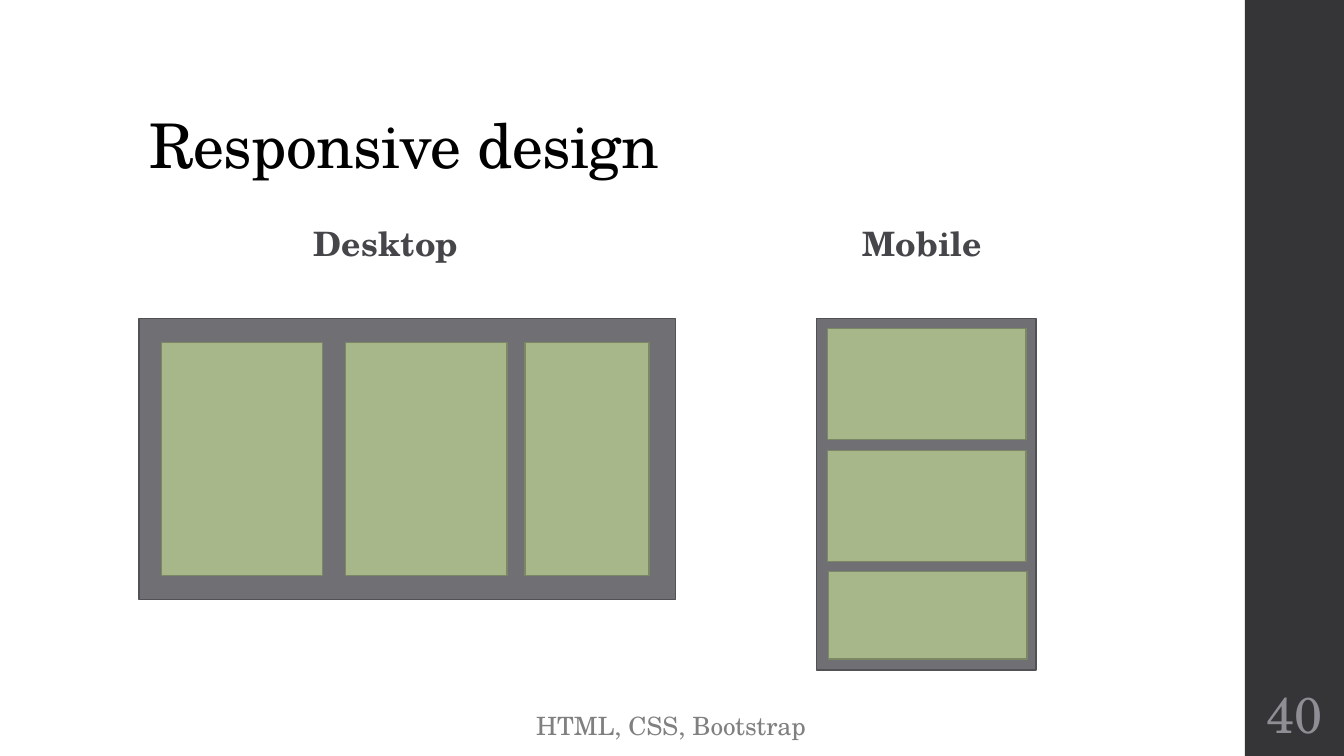
from pptx import Presentation
from pptx.dml.color import RGBColor
from pptx.enum.shapes import MSO_SHAPE
from pptx.enum.text import MSO_ANCHOR, PP_ALIGN
from pptx.util import Inches, Pt

RECT = MSO_SHAPE.RECTANGLE
LEFT, CENTER = PP_ALIGN.LEFT, PP_ALIGN.CENTER
TOP, MIDDLE, BOTTOM = MSO_ANCHOR.TOP, MSO_ANCHOR.MIDDLE, MSO_ANCHOR.BOTTOM

FONT = "TeX Gyre Schola"
BLACK = RGBColor(0x00, 0x00, 0x00)
DARK = RGBColor(0x35, 0x35, 0x37)
LABEL = RGBColor(0x46, 0x46, 0x4A)
FOOT = RGBColor(0x80, 0x80, 0x80)
NUMBER = RGBColor(0x8E, 0x8E, 0x94)
GRAY = RGBColor(0x6F, 0x6F, 0x74)
GRAY_EDGE = RGBColor(0x52, 0x52, 0x56)
GREEN = RGBColor(0xA7, 0xB7, 0x89)
GREEN_EDGE = RGBColor(0x7C, 0x87, 0x65)


def part(box, x, y, w, h):
    """Return the area given in percent of a box."""
    left, top, width, height = box
    return (round(left + width * x / 100), round(top + height * y / 100),
            round(width * w / 100), round(height * h / 100))


def write(shape, text, size, color, bold=False, align=LEFT, anchor=TOP,
          wrap=True, line=1.0, after=0, track=0, inset=None):
    frame = shape.text_frame
    frame.word_wrap = wrap
    frame.vertical_anchor = anchor
    if inset is not None:
        frame.margin_left = frame.margin_right = Inches(inset)
    para = frame.paragraphs[0]
    para.alignment = align
    para.line_spacing = line
    para.space_after = Pt(after)
    run = para.add_run()
    run.text = text
    font = run.font
    font.name, font.size, font.bold = FONT, Pt(size), bold
    font.color.rgb = color
    if track:
        run._r.get_or_add_rPr().set("spc", str(round(track * 100)))


def block(slide, box, fill, edge=None):
    shape = slide.shapes.add_shape(RECT, *box)
    shape.shadow.inherit = False
    shape.fill.solid()
    shape.fill.fore_color.rgb = fill
    if edge is None:
        shape.line.fill.background()
    else:
        shape.line.color.rgb = edge
        shape.line.width = Pt(1.1)


def sidebar(slide, box):
    block(slide, box, DARK)
    number = slide.shapes.add_textbox(*part(box, 0, 90, 100, 8.67))
    write(number, "40", 36, NUMBER, align=CENTER, anchor=MIDDLE, inset=0.05)


def heading(slide, box):
    title = slide.shapes.title
    title.left, title.top, title.width, title.height = box
    write(title, "Responsive design", 44, BLACK, anchor=BOTTOM,
          line=0.9, track=-0.5)


def label(slide, box, text):
    write(slide.shapes.add_textbox(*box), text, 24, LABEL, bold=True,
          align=CENTER, anchor=BOTTOM, line=0.95, after=2, track=0.1)


def screen(slide, box, tiles):
    block(slide, box, GRAY, GRAY_EDGE)
    for tile in tiles:
        block(slide, part(box, *tile), GREEN, GREEN_EDGE)


def footer(slide, box):
    write(slide.shapes.add_textbox(*box), "HTML, CSS, Bootstrap", 18, FOOT,
          wrap=False)


def main():
    deck = Presentation()
    deck.slide_width, deck.slide_height = Inches(13.33), Inches(7.5)
    slide = deck.slides.add_slide(deck.slide_layouts[5])
    page = (0, 0, deck.slide_width, deck.slide_height)

    # Frame of the page
    sidebar(slide, part(page, 92.63, 0, 7.37, 100))
    footer(slide, part(page, 39.15, 93.33, 21.9, 5.33))
    heading(slide, part(page, 10.35, 5.33, 79.5, 19.33))

    # Column labels
    for x, text in ((10.35, "Desktop"), (50.25, "Mobile")):
        label(slide, part(page, x, 24.93, 36.75, 10.67), text)

    # Desktop: tiles side by side
    columns = ((4.14, 30.08), (38.53, 30.08), (71.99, 23.12))
    screen(slide, part(page, 10.35, 42.13, 39.9, 37.2),
           [(x, 8.6, w, 82.8) for x, w in columns])

    # Mobile: tiles stacked
    rows = ((5.05, 2.87, 31.52), (5.05, 37.54, 31.52), (5.5, 71.92, 24.93))
    screen(slide, part(page, 60.75, 42.13, 16.35, 46.53),
           [(x, y, 90.37, h) for x, y, h in rows])

    deck.save("out.pptx")


if __name__ == "__main__":
    main()
